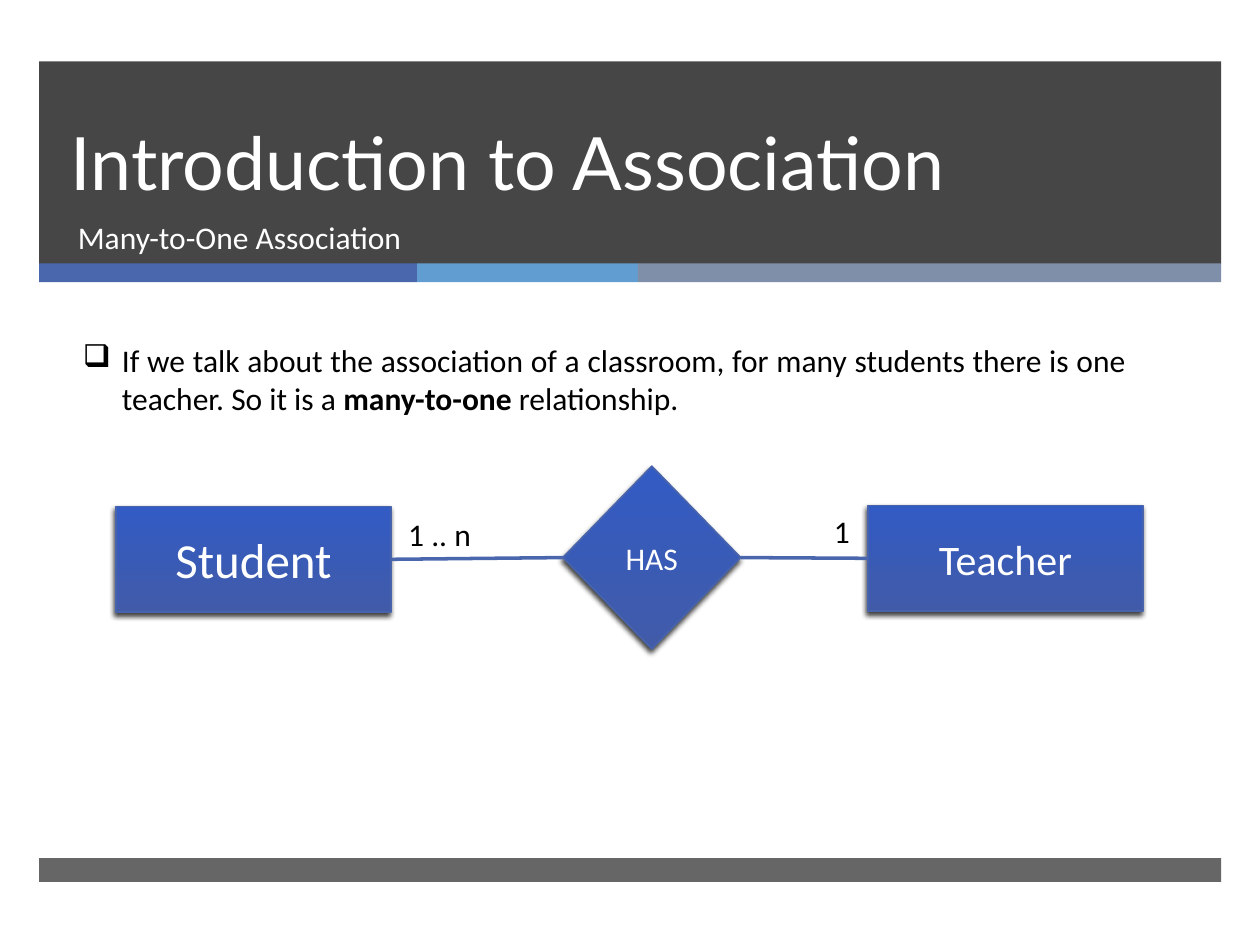
from dataclasses import dataclass
from typing import Any, NamedTuple

import lxml.etree
import pptx
import pptx.dml.color
import pptx.enum.shapes
import pptx.enum.text
import pptx.oxml
import pptx.oxml.ns
import pptx.util

Cm, Pt = pptx.util.Cm, pptx.util.Pt
RGB = pptx.dml.color.RGBColor.from_string
Align = pptx.enum.text.PP_ALIGN
Anchor = pptx.enum.text.MSO_ANCHOR
Preset = pptx.enum.shapes.MSO_SHAPE
qn = pptx.oxml.ns.qn


@dataclass(frozen=True)
class Theme:
    dark: str = "262626"
    light: str = "FFFFFF"
    ink: str = "000000"
    stripes: tuple[str, ...] = ("4A66AC", "629DD1", "7F8FA9")
    node_gradient: tuple[str, str] = ("415BA9", "325BC4")
    node_line: str = "4663AB"
    link: str = "4A66AC"
    heading_font: str = "Lato"
    font: str = "Calibri"
    heading: int = 42
    heading_leading: int = 46
    body: int = 18
    student: int = 28
    teacher: int = 24


class Box(NamedTuple):
    """Left, top, width and height in centimetres."""
    left: float
    top: float
    width: float
    height: float

    def lengths(self) -> list[int]:
        return [Cm(value) for value in self]


@dataclass(frozen=True)
class Node:
    label: str
    preset: Any
    box: Box
    size: int


@dataclass(frozen=True)
class Caption:
    text: str
    box: Box
    color: str


THEME = Theme()
MARGIN, BAND_WIDTH = 0.79, 23.83
STRIPE_TOP, STRIPE_HEIGHT = 5.31, 0.38
STRIPE_WIDTHS = (7.62, 4.45, 11.76)
TOP_SITE, LEFT_SITE, BOTTOM_SITE, RIGHT_SITE = range(4)

NODES = (
    Node("Student", Preset.RECTANGLE, Box(2.34, 10.21, 5.54, 2.13), THEME.student),
    Node("HAS", Preset.DIAMOND, Box(11.35, 9.4, 3.58, 3.68), THEME.body),
    Node("Teacher", Preset.RECTANGLE, Box(17.5, 10.19, 5.54, 2.13), THEME.teacher),
)
CAPTIONS = (
    Caption("Many-to-One Association", Box(1.32, 4.27, 21.54, 1.35), THEME.light),
    Caption("1 .. n", Box(7.98, 10.26, 2.13, 1.02), THEME.ink),
    Caption("1", Box(16.56, 10.19, 1.14, 1.02), THEME.ink),
)


def apply(target: Any, formats: dict[str, Any]) -> None:
    for name, value in formats.items():
        setattr(target, name, value)


def add_run(paragraph: Any, text: str, color: str, size: int = THEME.body,
            font: str = THEME.font, bold: bool = False) -> None:
    run = paragraph.add_run()
    run.text = text
    apply(run.font, {"name": font, "size": Pt(size), "bold": bold})
    run.font.color.rgb = RGB(color)


def add_band(slide: Any, box: Box, color: str, opacity: int = 100) -> Any:
    band = slide.shapes.add_shape(Preset.RECTANGLE, *box.lengths())
    band.shadow.inherit = False
    band.fill.solid()
    band.fill.fore_color.rgb = RGB(color)
    band.line.fill.background()
    if opacity < 100:
        tint = band.element.spPr.find(f"{qn('a:solidFill')}/{qn('a:srgbClr')}")
        lxml.etree.SubElement(tint, qn("a:alpha"), val=str(opacity * 1000))
    return band


def add_text_frame(slide: Any, box: Box) -> Any:
    frame = slide.shapes.add_textbox(*box.lengths()).text_frame
    frame.word_wrap = True
    return frame


def add_shadow(shape: Any) -> None:
    shape.shadow.inherit = False
    effects = shape.element.spPr.find(qn("a:effectLst"))
    shadow = lxml.etree.SubElement(
        effects, qn("a:outerShdw"), blurRad=str(Pt(3)), dist=str(Pt(2)),
        dir=str(110 * 60000), rotWithShape="0")
    tint = lxml.etree.SubElement(shadow, qn("a:srgbClr"), val=THEME.ink)
    lxml.etree.SubElement(tint, qn("a:alpha"), val="75000")


def add_node(slide: Any, node: Node) -> Any:
    shape = slide.shapes.add_shape(node.preset, *node.box.lengths())
    shape.fill.gradient()
    shape.fill.gradient_angle = 90
    for stop, color in zip(shape.fill.gradient_stops, THEME.node_gradient):
        stop.color.rgb = RGB(color)
    shape.line.color.rgb = RGB(THEME.node_line)
    shape.line.width = Pt(1)
    add_shadow(shape)
    shape.text_frame.vertical_anchor = Anchor.MIDDLE
    paragraph = shape.text_frame.paragraphs[0]
    paragraph.alignment = Align.CENTER
    add_run(paragraph, node.label, THEME.light, node.size)
    return shape


def add_link(slide: Any, start: Any, end: Any) -> None:
    link = slide.shapes.add_connector(pptx.enum.shapes.MSO_CONNECTOR.STRAIGHT, 0, 0, 0, 0)
    link.begin_connect(start, RIGHT_SITE)
    link.end_connect(end, LEFT_SITE)
    link.line.color.rgb = RGB(THEME.link)
    link.line.width = Pt(2)
    lxml.etree.SubElement(link.element.spPr, qn("a:effectLst"))


def add_statement(slide: Any) -> None:
    paragraph = add_text_frame(slide, Box(1.42, 6.76, 21.54, 1.8)).paragraphs[0]
    paragraph.alignment = Align.JUSTIFY
    properties = paragraph._p.get_or_add_pPr()
    properties.set("marL", str(Cm(0.79)))
    properties.set("indent", str(-Cm(0.79)))
    lxml.etree.SubElement(properties, qn("a:buChar"), char="❑")
    add_run(paragraph, "If we talk about the association of a classroom, for many students "
            "there is one teacher. So it is a ", THEME.ink)
    add_run(paragraph, "many-to-one ", THEME.ink, bold=True)
    add_run(paragraph, "relationship.", THEME.ink)


def fill_title(title: Any) -> None:
    place = Box(1.17, 1.24, 21.69, 3.02)
    apply(title, dict(zip(place._fields, place.lengths())))
    apply(title.text_frame, {"vertical_anchor": Anchor.BOTTOM, "word_wrap": True,
                             "auto_size": pptx.enum.text.MSO_AUTO_SIZE.NONE})
    paragraph = title.text_frame.paragraphs[0]
    apply(paragraph, {"alignment": Align.LEFT, "line_spacing": Pt(THEME.heading_leading)})
    add_run(paragraph, "Introduction to Association", THEME.light,
            THEME.heading, THEME.heading_font)


def main() -> None:
    deck = pptx.Presentation()
    apply(deck, {"slide_width": Cm(25.4), "slide_height": Cm(19.05)})
    slide = deck.slides.add_slide(deck.slide_layouts[5])

    # Header band, stripes and footer band
    add_band(slide, Box(MARGIN, 1.24, BAND_WIDTH, 4.09), THEME.dark, 85)
    left = MARGIN
    for width, color in zip(STRIPE_WIDTHS, THEME.stripes):
        add_band(slide, Box(left, STRIPE_TOP, width, STRIPE_HEIGHT), color)
        left += width
    footer = add_band(slide, Box(MARGIN, 17.3, BAND_WIDTH, 0.48), THEME.dark, 70)

    # Title, brought in front of the bands
    title = slide.shapes.title
    fill_title(title)
    footer.element.addnext(title.element)

    # Statement and relationship diagram
    add_statement(slide)
    student, relation, teacher = [add_node(slide, node) for node in NODES]
    add_link(slide, student, relation)
    add_link(slide, relation, teacher)

    # Subtitle and multiplicities
    for caption in CAPTIONS:
        frame = add_text_frame(slide, caption.box)
        add_run(frame.paragraphs[0], caption.text, caption.color)

    deck.save("out.pptx")


if __name__ == "__main__":
    main()
